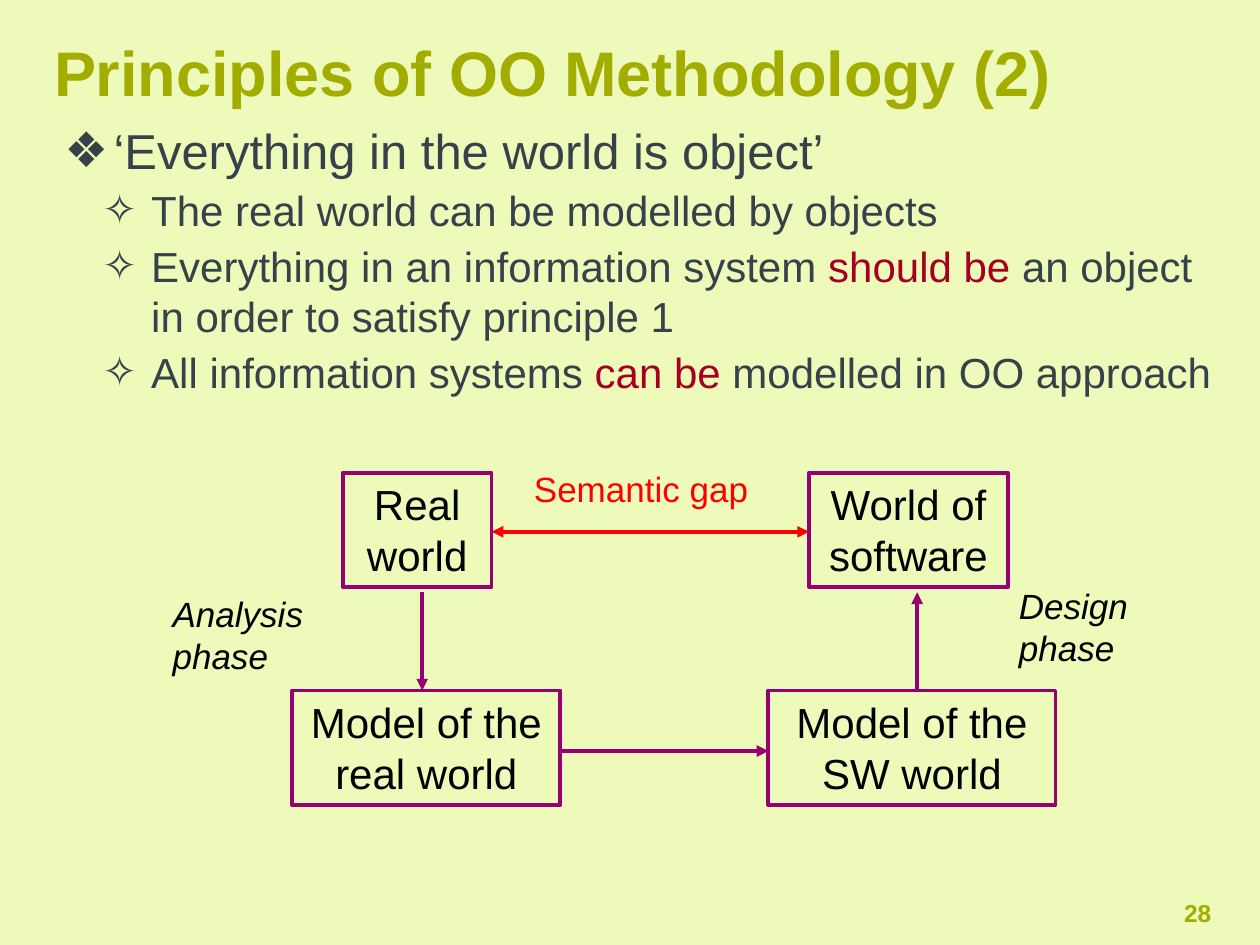
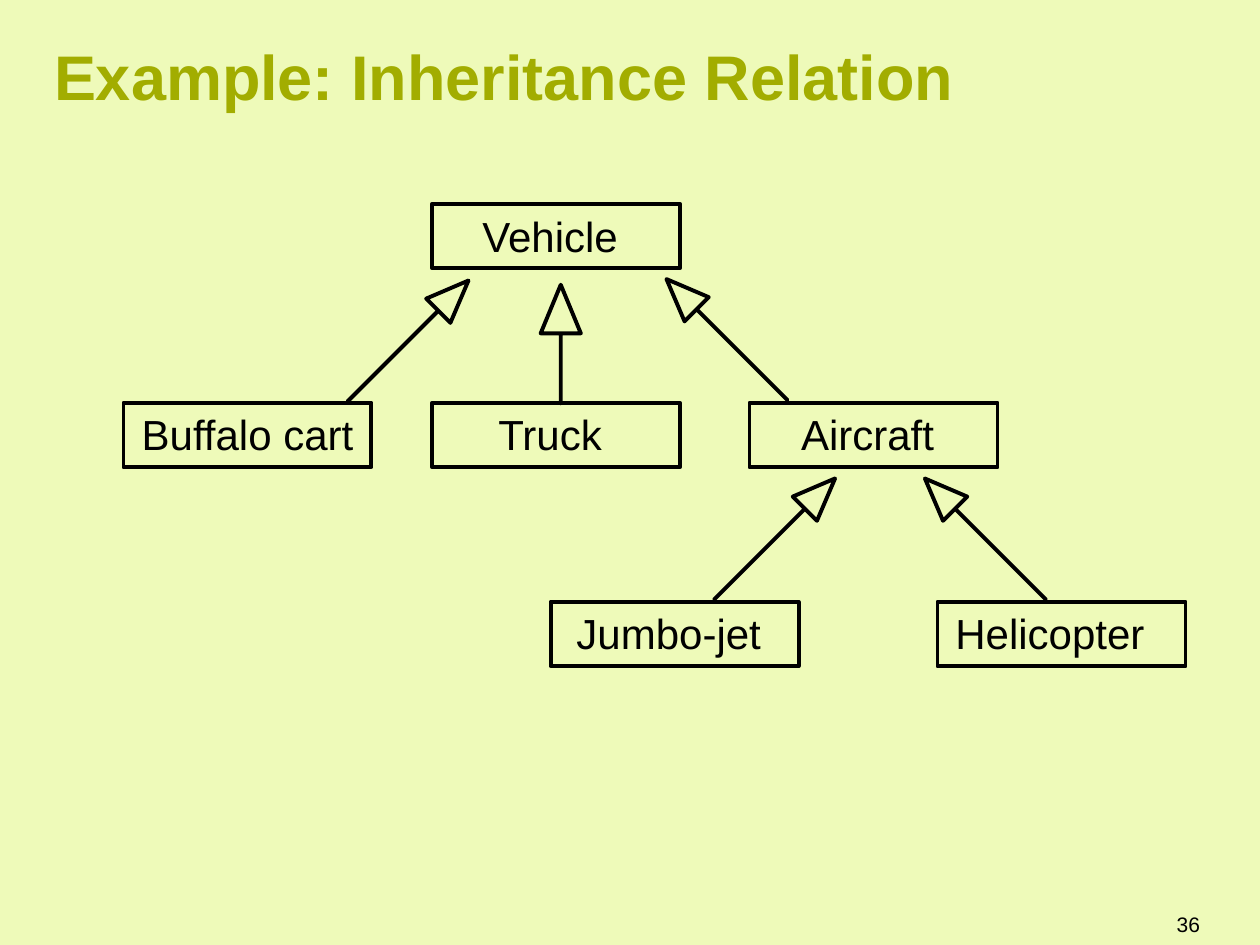
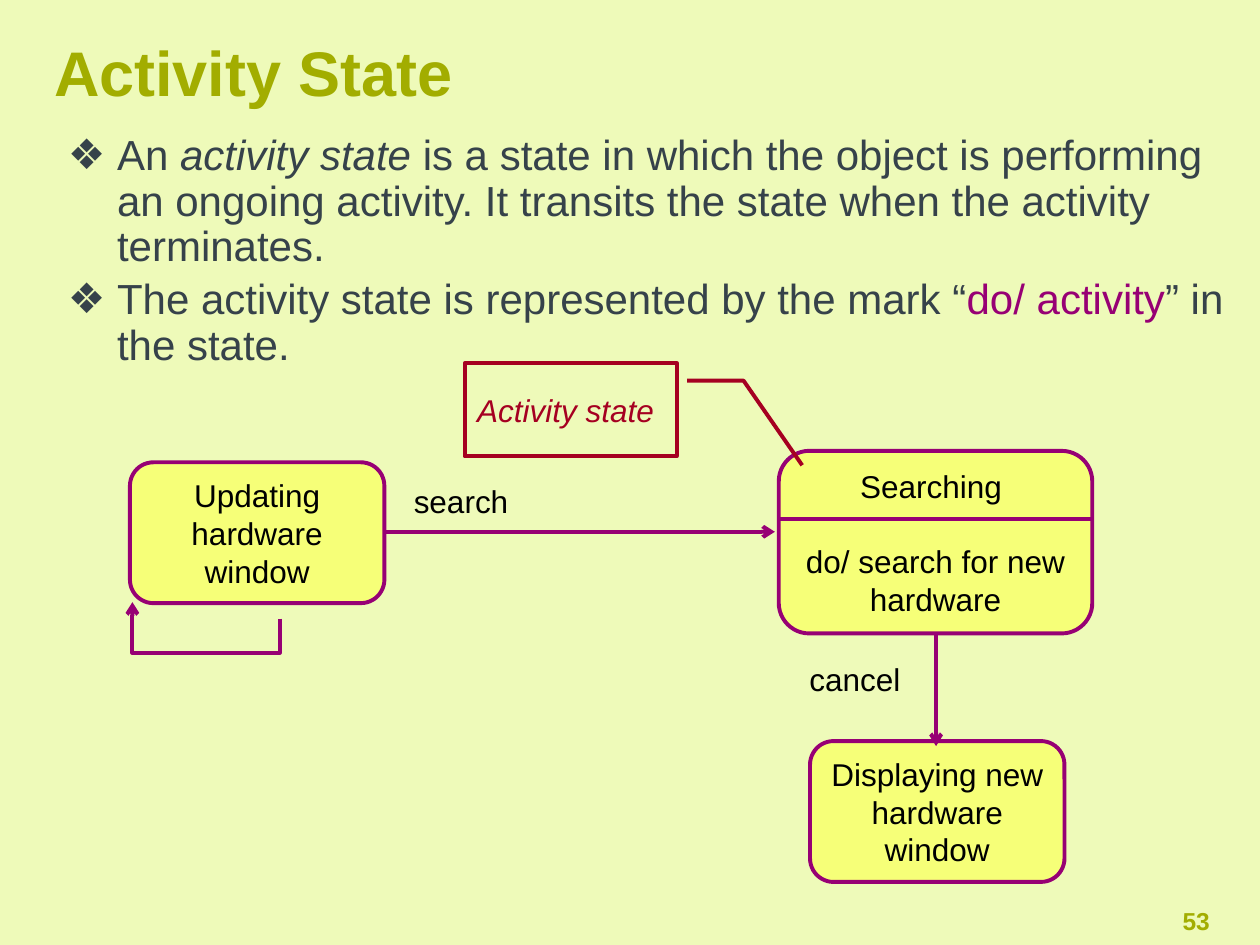
import pptx
import pptx.dml.color
import pptx.enum.shapes
import pptx.enum.text
import pptx.oxml.ns
import pptx.util
from lxml import etree

Cm = pptx.util.Cm
SHAPE = pptx.enum.shapes.MSO_SHAPE
ALIGN = pptx.enum.text.PP_ALIGN
ANCHOR = pptx.enum.text.MSO_ANCHOR

COLORS = {
    "paper": "EEFAB9",
    "olive": "A2AD00",
    "slate": "36424A",
    "purple": "970074",
    "crimson": "A50021",
    "red": "FF0000",
    "yellow": "F6FF78",
    "black": "000000",
}


def rgb(name):
    return pptx.dml.color.RGBColor.from_string(COLORS[name])


def add_xml(parent, tag, **attributes):
    return etree.SubElement(parent, pptx.oxml.ns.qn(tag), **attributes)


def write_text(frame, paragraphs, size=24, color="black", bold=False, italic=False,
               align=ALIGN.LEFT, anchor=ANCHOR.TOP, gap=0):
    """Fill a frame with paragraphs: strings, or lists of (text, format) spans."""
    frame.word_wrap = True
    frame.vertical_anchor = anchor
    for index, spans in enumerate(paragraphs):
        para = frame.paragraphs[0] if index == 0 else frame.add_paragraph()
        para.alignment = align
        if index:
            para.space_before = pptx.util.Pt(gap)
        for text, look in [(spans, {})] if isinstance(spans, str) else spans:
            span = para.add_run()
            span.text = text
            span.font.name = "Arial"
            span.font.size = pptx.util.Pt(look.get("size", size))
            span.font.bold = bold
            span.font.italic = look.get("italic", italic)
            span.font.color.rgb = rgb(look.get("color", color))


class Deck:
    """Holds the shared style and the current page."""

    line_width = pptx.util.Pt(2.25)

    def __init__(self):
        self.file = pptx.Presentation()
        self.file.slide_width, self.file.slide_height = Cm(25.4), Cm(19.05)
        self.page = None

    def new_page(self, title, title_height=1.8):
        self.page = self.file.slides.add_slide(self.file.slide_layouts[6])
        self.page.background.fill.solid()
        self.page.background.fill.fore_color.rgb = rgb("paper")
        frame = self.text([title], 1.09, 0.53, 23.5, title_height, size=36,
                          color="olive", bold=True, anchor=ANCHOR.MIDDLE)
        frame.margin_left = 0

    def text(self, paragraphs, left, top, width, height, **look):
        box = self.page.shapes.add_textbox(Cm(left), Cm(top), Cm(width), Cm(height))
        write_text(box.text_frame, paragraphs, **look)
        return box.text_frame

    def bullets(self, items, left, top, width, height, line_spacing=None, **look):
        """Items are (level, spans); both levels hang by the same amount."""
        frame = self.text([spans for _, spans in items], left, top, width, height,
                          color="slate", **look)
        frame.margin_left = 0
        for para, (level, _) in zip(frame.paragraphs, items):
            para.level = level
            if line_spacing:
                para.line_spacing = line_spacing
            properties = para._p.get_or_add_pPr()
            properties.set("marL", str(Cm(0.99 + 0.76 * level)))
            properties.set("indent", str(-Cm(0.99)))
            add_xml(properties, "a:buFont", typeface="Arial")
            add_xml(properties, "a:buChar", char="❖✧"[level])

    def page_number(self, number, left, top):
        self.text([number], left, top, 1.45, 0.99, size=14, color="olive",
                  bold=True, align=ALIGN.CENTER)

    def shape(self, kind, left, top, width, height, line="black", fill=None,
              adjust=(), rotation=0):
        shape = self.page.shapes.add_shape(kind, Cm(left), Cm(top), Cm(width), Cm(height))
        for index, value in enumerate(adjust):
            shape.adjustments[index] = value
        shape.rotation = rotation
        self.outline(shape, line, fill)
        return shape

    def outline(self, shape, line, fill=None):
        shape.shadow.inherit = False
        if fill:
            shape.fill.solid()
            shape.fill.fore_color.rgb = rgb(fill)
        else:
            shape.fill.background()
        self.stroke(shape, line)

    def stroke(self, shape, color, head=None, tail=None):
        shape.line.color.rgb = rgb(color)
        shape.line.width = self.line_width
        for tag, kind in (("a:headEnd", head), ("a:tailEnd", tail)):
            if kind:
                add_xml(shape.line._get_or_add_ln(), tag, type=kind)

    def labelled(self, kind, text, left, top, width, height, line="black", fill=None,
                 adjust=(), **look):
        shape = self.shape(kind, left, top, width, height, line, fill, adjust)
        write_text(shape.text_frame, text, **{"align": ALIGN.CENTER, **look})
        return shape

    def state(self, text, left, top, width=5.13, height=2.84, **look):
        self.labelled(SHAPE.ROUNDED_RECTANGLE, text, left, top, width, height, "purple",
                      "yellow", [0.167], size=18, anchor=ANCHOR.MIDDLE, **look)

    def connect(self, start_x, start_y, end_x, end_y, color="purple", **ends):
        line = self.page.shapes.add_connector(
            pptx.enum.shapes.MSO_CONNECTOR.STRAIGHT,
            Cm(start_x), Cm(start_y), Cm(end_x), Cm(end_y))
        self.stroke(line, color, **ends)
        add_xml(line._element.spPr, "a:effectLst")

    def bent_arrow(self, points, color="purple"):
        corners = [(Cm(x), Cm(y)) for x, y in points]
        builder = self.page.shapes.build_freeform(*corners[0])
        builder.add_line_segments(corners[1:], close=False)
        outline = builder.convert_to_shape()
        self.outline(outline, color)
        self.stroke(outline, color, tail="arrow")


def methodology_page(deck):
    deck.new_page("Principles of OO Methodology (2)")
    stress = {"color": "crimson"}
    deck.bullets([
        (0, [("‘Everything in the world is object’", {"size": 28})]),
        (1, "The real world can be modelled by objects"),
        (1, [("Everything in an information system ", {}), ("should be", stress),
             (" an object in order to satisfy principle 1", {})]),
        (1, [("All information systems ", {}), ("can be", stress),
             (" modelled in OO approach", {})]),
    ], 1.3, 2.31, 23.57, 6.4, gap=3)

    # Worlds above, their models below
    upper, lower = 9.53, 13.92
    for text, left, top, width in (
            ("Real world", 6.91, upper, 3),
            ("World of software", 16.31, upper, 4.01),
            ("Model of the real world", 5.89, lower, 5.41),
            ("Model of the SW world", 15.49, lower, 5.79)):
        deck.labelled(SHAPE.RECTANGLE, [text], left, top, width, 2.31, "purple")

    # Links between the boxes
    deck.connect(9.91, 10.72, 16.31, 10.72, "red", head="triangle", tail="triangle")
    deck.connect(8.51, 11.94, 8.51, lower, tail="triangle")
    deck.connect(18.49, lower, 18.49, 11.94, tail="triangle")
    deck.connect(11.3, 15.14, 15.49, 15.14, tail="triangle")
    deck.text(["Semantic gap"], 10.03, 9.3, 5.79, 1.12, size=20, color="red",
              align=ALIGN.CENTER)
    for text, left, top in (("Analysis phase", 3.23, 11.81), ("Design phase", 20.29, 11.66)):
        deck.text([text], left, top, 3.61, 1.96, size=20, italic=True)
    deck.page_number("28", 23.42, 17.98)


def inheritance_page(deck):
    deck.new_page("Example: Inheritance Relation", title_height=1.96)

    # Classes: name, left, level in the tree, right inset
    for name, left, level, inset in (
            ("Vehicle", 8.71, 0, 0.49),
            ("Buffalo cart", 2.49, 1, 0.25),
            ("Truck", 8.71, 1, 0.49),
            ("Aircraft", 15.11, 1, 0.49),
            ("Jumbo-jet", 11.1, 2, 0.49),
            ("Helicopter", 18.9, 2, 0.72)):
        box = deck.labelled(SHAPE.RECTANGLE, [name], left, 4.11 + 4.01 * level, 5, 1.3)
        box.text_frame.margin_right = Cm(inset)

    # Hollow arrows from subclass to superclass
    for left, top, rotation in ((6.5, 6.53, 315), (12.93, 6.5, 225),
                                (13.89, 10.52, 315), (18.14, 10.52, 225)):
        deck.shape(SHAPE.RIGHT_ARROW, left, top, 3.45, 0.69, adjust=(0, 1.247),
                   rotation=rotation)
    deck.shape(SHAPE.RIGHT_ARROW, 10.11, 6.53, 2.39, 0.81, adjust=(0, 1.209), rotation=270)
    deck.text(["36"], 20.5, 18.11, 3.94, 1.02, size=12, align=ALIGN.RIGHT,
              anchor=ANCHOR.MIDDLE)


def activity_page(deck):
    deck.new_page("Activity State")
    deck.bullets([
        (0, [("An ", {}), ("activity state", {"italic": True}),
             (" is a state in which the object is performing an ongoing activity. "
              "It transits the state when the activity terminates.", {})]),
        (0, [("The activity state is represented by the mark “", {}),
             ("do/ activity", {"color": "purple"}), ("” in the state.", {})]),
    ], 1.37, 2.59, 23.6, 4.27, line_spacing=0.9, gap=4.5)

    # States
    deck.state(["Updating hardware window"], 2.62, 9.32)
    deck.state(["Searching ", "do/ search for new hardware"], 15.7, 9.09, 6.32, 3.68, gap=21.5)
    deck.state(["Displaying new hardware window"], 16.33, 14.94)
    deck.connect(15.7, 10.46, 22.05, 10.46)

    # Transitions
    deck.connect(7.72, 10.72, 15.62, 10.72, tail="arrow")
    deck.connect(18.87, 12.75, 18.87, 15.04, tail="arrow")
    deck.bent_arrow([(5.64, 12.47), (5.64, 13.16), (2.67, 13.16), (2.67, 12.14)])
    for text, left, top, width in (("search", 7.57, 9.6, 3.45), ("cancel", 15.75, 13.18, 2.97)):
        deck.text([text], left, top, width, 1.02, size=18, align=ALIGN.CENTER)

    # Callout
    deck.labelled(SHAPE.LINE_CALLOUT_2, ["Activity state"], 9.37, 7.32, 4.27, 1.88, "crimson",
                  adjust=(0.188, 1.05, 0.188, 1.316, 1.096, 1.593), size=18,
                  color="crimson", italic=True, align=ALIGN.LEFT, anchor=ANCHOR.MIDDLE)
    deck.page_number("53", 23.39, 18.14)


def main():
    deck = Deck()
    methodology_page(deck)
    inheritance_page(deck)
    activity_page(deck)
    deck.file.save("out.pptx")


if __name__ == "__main__":
    main()
